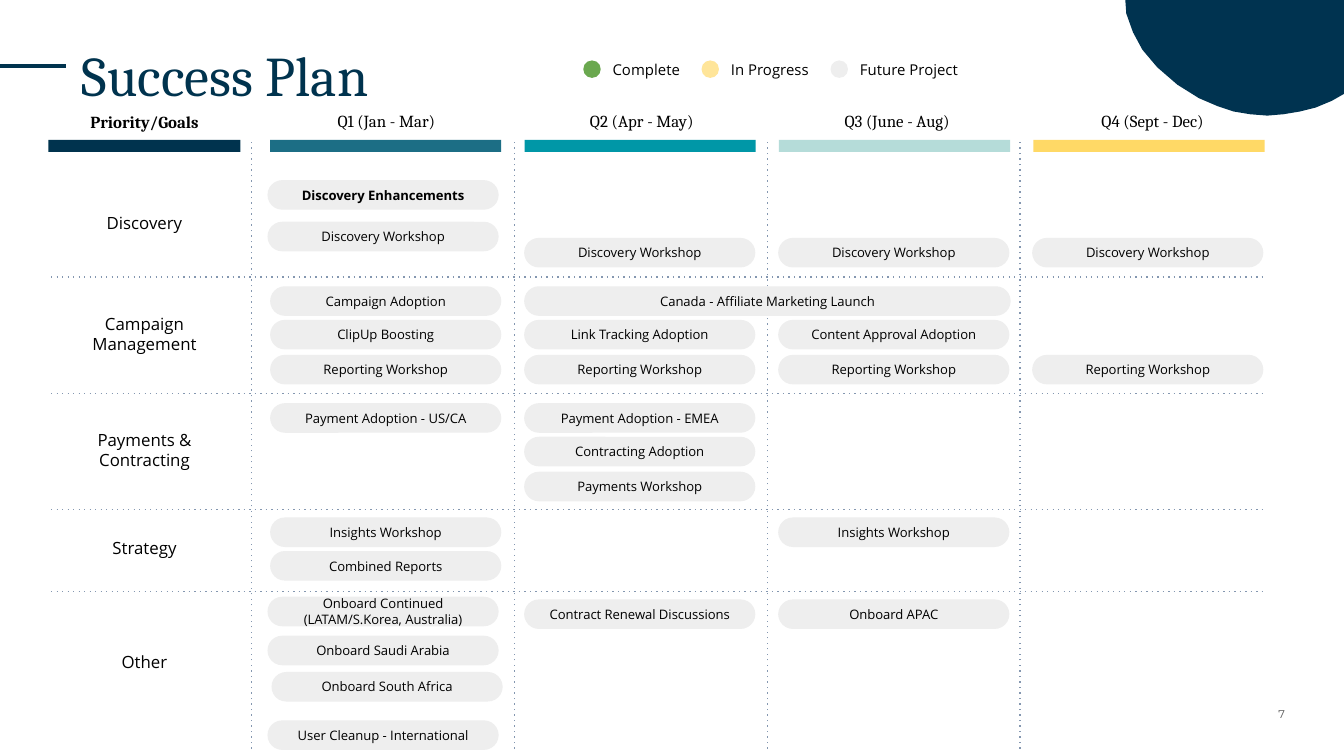
from dataclasses import dataclass

from lxml import etree
from pptx import Presentation
from pptx import util as u
from pptx.dml.color import RGBColor
from pptx.enum import dml, shapes, text
from pptx.oxml import ns

CELL = u.Inches(0.1)
COLS, ROWS = 100, 56.25


@dataclass(frozen=True)
class Theme:
    """Colours, fonts and type sizes."""
    navy: str = "00334E"
    deep: str = "003350"
    rule: str = "8497B0"
    ink: str = "000000"
    grey: str = "595959"
    done: str = "6AA84F"
    doing: str = "FFE599"
    later: str = "EEEEEE"
    bars: tuple = ("1C6E85", "0097A7", "B5DCD9", "FFD966")
    serif: str = "Cambria"
    sans: str = "Open Sans"
    small: str = "Montserrat"
    title: int = 30
    head: int = 9
    key: int = 8
    pill: int = 7
    page: int = 6


T = Theme()
LEFT, MID, RIGHT = text.PP_ALIGN.LEFT, text.PP_ALIGN.CENTER, text.PP_ALIGN.RIGHT
KIND = shapes.MSO_SHAPE


def grid(*spans):
    """Turn grid cells of a tenth of an inch into lengths."""
    return [u.Emu(round(span * CELL)) for span in spans]


def write(frame, words, size=T.head, face=T.sans, tint=T.ink, bold=False,
          align=MID, pad=(0.7, 0.7), top=False, space=None):
    """Put one formatted paragraph into a text frame."""
    side, edge = grid(*pad)
    frame.margin_left = frame.margin_right = side
    frame.margin_top = frame.margin_bottom = edge
    frame.word_wrap = True
    frame.auto_size = text.MSO_AUTO_SIZE.NONE
    frame.vertical_anchor = text.MSO_ANCHOR.TOP if top else text.MSO_ANCHOR.MIDDLE
    para = frame.paragraphs[0]
    para.alignment = align
    if space:
        para.line_spacing = space
    run = para.add_run()
    run.text = words
    font = run.font
    font.size, font.name, font.bold = u.Pt(size), face, bold
    font.color.rgb = RGBColor.from_string(tint)


class Plan:
    """Holds the theme and the slide being drawn."""

    def __init__(self, slide):
        """Keep the slide."""
        self.slide, self.items = slide, slide.shapes

    def paint(self, item, tint):
        """Give a shape a plain fill without line or shadow."""
        item.shadow.inherit = False
        item.fill.solid()
        item.fill.fore_color.rgb = RGBColor.from_string(tint)
        item.line.fill.background()
        return item

    def shape(self, kind, tint, *box):
        """Draw a preset shape."""
        return self.paint(self.items.add_shape(kind, *grid(*box)), tint)

    def curve(self, tint, first, *rest):
        """Draw a closed outline from points in hundredths of an inch."""
        pen = self.items.build_freeform(*first, scale=CELL / 10)
        pen.add_line_segments(rest, close=True)
        self.paint(pen.convert_to_shape(), tint)

    def title(self, words, *box):
        """Fill and place the title."""
        item = self.items.title
        item.left, item.top, item.width, item.height = grid(*box)
        write(item.text_frame, words, size=T.title, face=T.serif, tint=T.navy,
              align=LEFT, pad=(0, 0), top=True, space=1.15)

    def label(self, words, *box, **form):
        """Add a text box."""
        write(self.items.add_textbox(*grid(*box)).text_frame, words, **form)

    def line(self, tint, width, *ends, dot=False):
        """Draw a straight line."""
        item = self.items.add_connector(shapes.MSO_CONNECTOR.STRAIGHT, *grid(*ends))
        item.line.color.rgb = RGBColor.from_string(tint)
        item.line.width = u.Pt(width)
        if dot:
            item.line.dash_style = dml.MSO_LINE.ROUND_DOT
            item.element.xpath(".//a:prstDash")[0].set("val", "dot")
        etree.SubElement(item.element.spPr, ns.qn("a:effectLst"))

    def pill(self, words, col, row, shift=0, width=17.2, bold=False):
        """Draw one project in a quarter's column."""
        item = self.shape(KIND.ROUNDED_RECTANGLE, T.later,
                          20.1 + 18.9 * col + shift, row, width, 2.2)
        item.adjustments[0] = 0.5
        write(item.text_frame, words, size=T.pill, bold=bold, pad=(0.7, 0.4))


CORNER = [(876, 63), (892, 73), (906, 79), (918, 83), (930, 85), (943, 86), (955, 85),
          (967, 83), (979, 80), (991, 75), (1005, 67), (1019, 59), (1032, 52),
          (1044, 49), (1057, 47), (1082, 47), (1106, 47), (1124, 45), (1141, 40),
          (1156, 32), (1167, 20), (1173, 7), (1175, -7), (1172, -25), (1165, -48),
          (1156, -68), (1110, -157), (1099, -176), (1089, -189), (1078, -196),
          (1067, -200), (1054, -201), (1038, -197), (1022, -191), (1001, -180),
          (974, -163), (945, -143), (915, -120), (887, -95), (869, -75), (856, -56),
          (846, -37), (840, -23), (837, -4), (838, 10), (843, 24), (850, 37), (861, 50)]
QUARTERS = ["Q1 (Jan - Mar)", "Q2 (Apr - May)", "Q3 (June - Aug)", "Q4 (Sept - Dec)"]
GOALS = [("Discovery", 15), ("Campaign Management", 23.3),
         ("Payments & Contracting", 31.9), ("Strategy", 39.2), ("Other", 47.7)]
KEYS = [("Complete", T.done, 43.4, 7.3), ("In Progress", T.doing, 52.2, 8.4),
        ("Future Project", T.later, 61.8, 10.2)]
PILLS = [
    ("Discovery Workshop", 17.7, (1, 2, 3)),
    ("Campaign Adoption", 21.3, (0,)),
    ("ClipUp Boosting", 23.8, (0,)),
    ("Link Tracking Adoption", 23.8, (1,)),
    ("Content Approval Adoption", 23.8, (2,)),
    ("Reporting Workshop", 26.4, (0, 1, 2, 3)),
    ("Payment Adoption - US/CA", 30, (0,)),
    ("Payment Adoption - EMEA", 30, (1,)),
    ("Contracting Adoption", 32.5, (1,)),
    ("Payments Workshop", 35.1, (1,)),
    ("Insights Workshop", 38.5, (0, 2)),
    ("Combined Reports", 41, (0,)),
    ("Contract Renewal Discussions", 44.6, (1,)),
    ("Onboard APAC", 44.6, (2,)),
]
NUDGED = [
    ("Discovery Workshop", 16.5, -0.2),
    ("Onboard Continued (LATAM/S.Korea, Australia)", 44.4, -0.2),
    ("Onboard Saudi Arabia", 47.3, -0.2),
    ("Onboard South Africa", 50, 0.1),
    ("User Cleanup - International", 53.6, -0.2),
]


def main():
    """Build and save the slide."""
    deck = Presentation()
    deck.slide_width, deck.slide_height = grid(COLS, ROWS)
    plan = Plan(deck.slides.add_slide(deck.slide_layouts[5]))

    plan.curve(T.deep, *CORNER)
    plan.title("Success Plan", 6.1, 2.3, 26.9, 5.1)
    plan.line(T.navy, 2.25, 0, 4.9, 4.9, 4.9)
    plan.label("7", 90.6, 51, 6, 4.3, size=T.page, face=T.small, tint=T.grey,
               align=RIGHT, pad=(1, 1))

    for x in (18.7, 38.3, 57.1, 75.9):
        plan.line(T.rule, 0.75, x, 55.7, x, 10.5, dot=True)
    for y in (20.6, 29.3, 37.9, 44):
        plan.line(T.rule, 0.75, 3.8, y, 94.1, y, dot=True)

    plan.shape(KIND.RECTANGLE, T.navy, 3.6, 10.4, 14.3, 0.9)
    plan.label("Priority/Goals", 4.6, 7.5, 12.3, 3.1, face=T.serif, bold=True)
    for col, (name, tint) in enumerate(zip(QUARTERS, T.bars)):
        plan.shape(KIND.RECTANGLE, tint, 20.1 + 18.93 * col, 10.4, 17.2, 0.9)
        plan.label(name, 22.1 + 19 * col, 7.4, 13.3, 3.1, face=T.serif)
    for name, y in GOALS:
        plan.label(name, 4.6, y, 12.3, 3.1)

    plan.pill("Discovery Enhancements", 0, 13.4, shift=-0.2, bold=True)
    plan.pill("Canada - Affiliate Marketing Launch", 1, 21.3, width=36.2)
    for name, row, cols in PILLS:
        for col in cols:
            plan.pill(name, col, row)
    for name, row, shift in NUDGED:
        plan.pill(name, 0, row, shift=shift)

    for name, tint, x, width in KEYS:
        plan.shape(KIND.OVAL, tint, x, 4.5, 1.3, 1.3)
        plan.label(name, x + 1.2, 3.5, width, 3.2, size=T.key, align=LEFT,
                   pad=(1, 1), top=True)

    deck.save("out.pptx")


if __name__ == "__main__":
    main()
